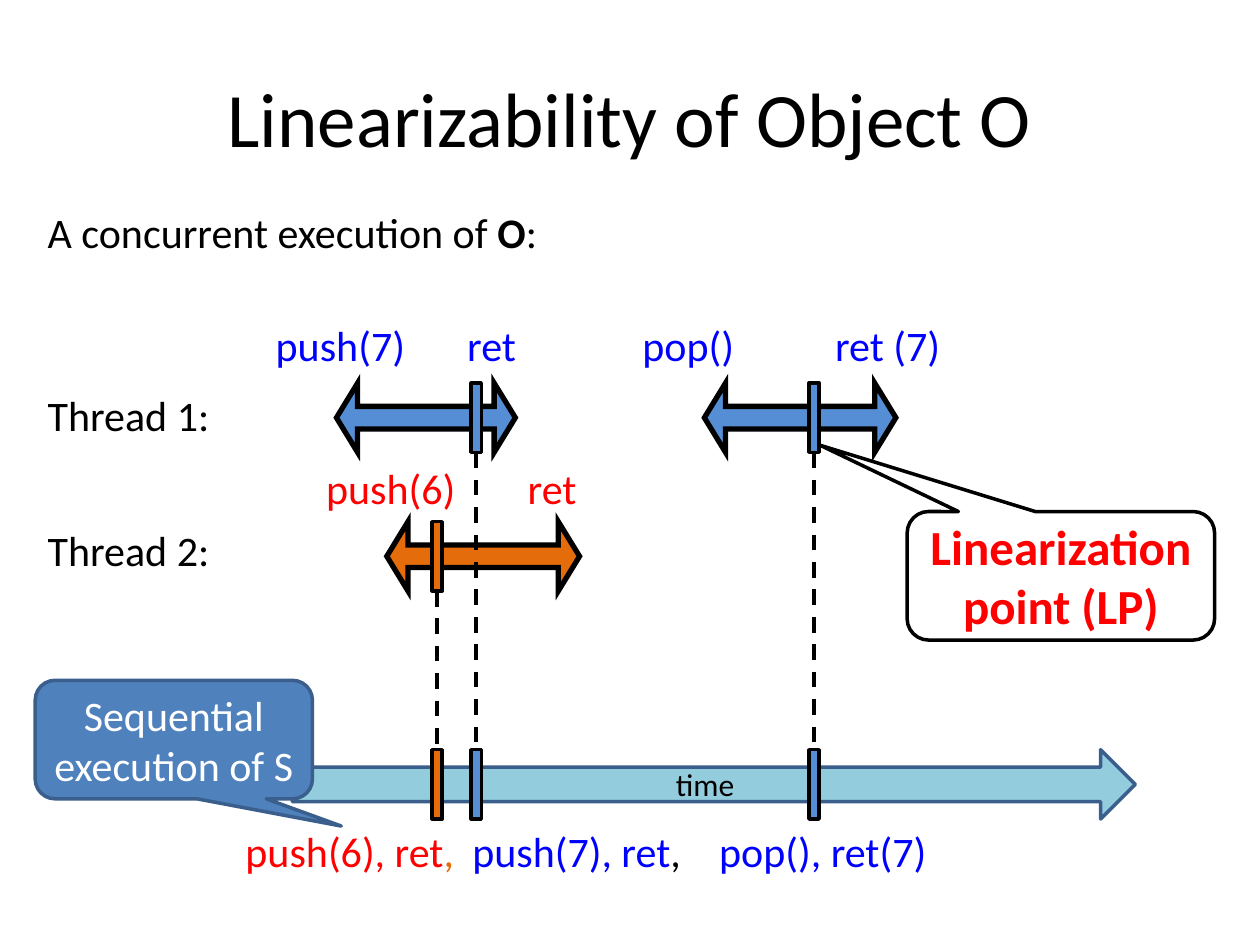
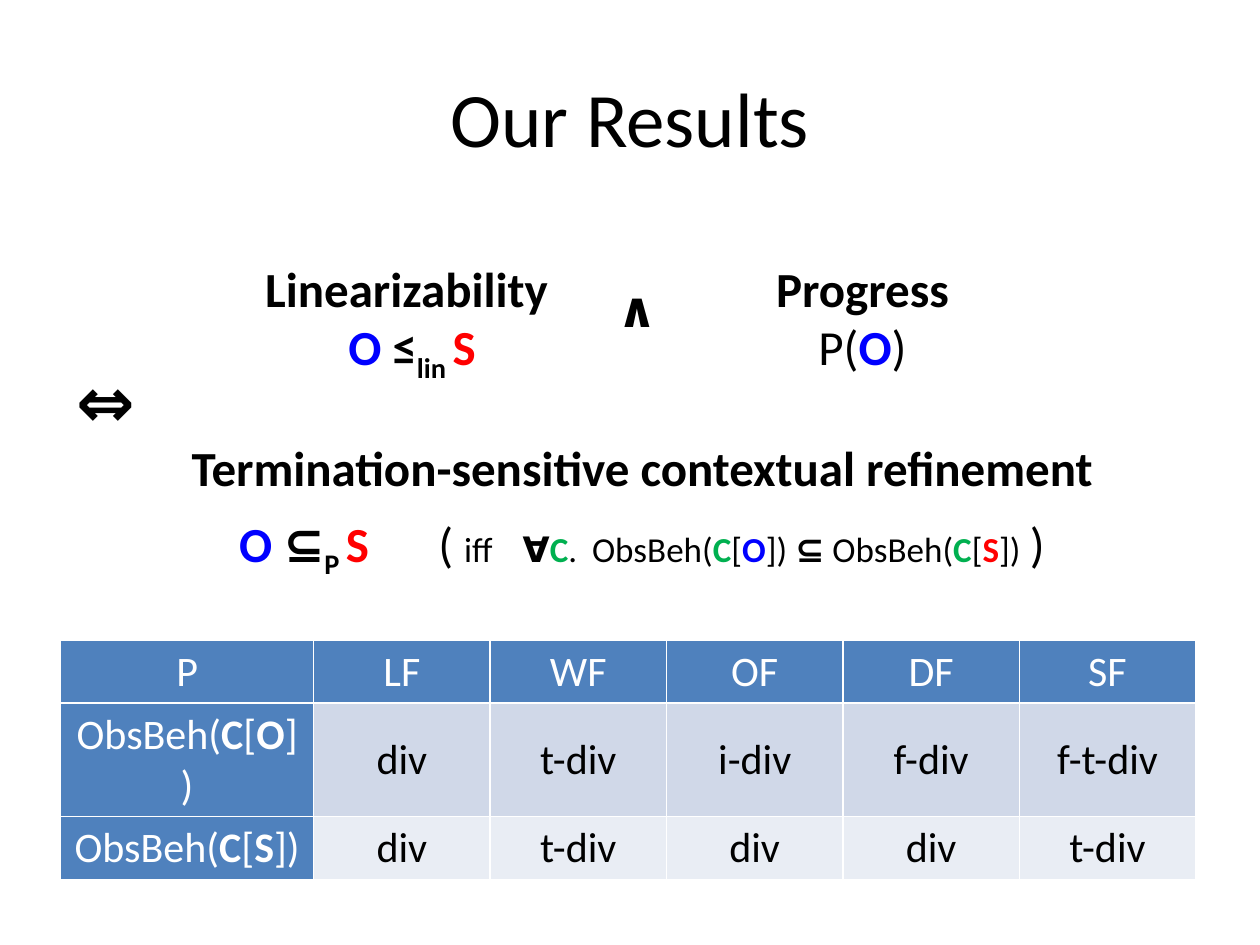
from lxml import etree
from pptx import Presentation
from pptx.dml.color import RGBColor
from pptx.enum.dml import MSO_LINE
from pptx.enum.shapes import MSO_CONNECTOR, MSO_SHAPE
from pptx.enum.text import MSO_ANCHOR, PP_ALIGN
from pptx.oxml.ns import qn
from pptx.util import Inches, Pt

LEFT, CENTER = PP_ALIGN.LEFT, PP_ALIGN.CENTER
MIDDLE = MSO_ANCHOR.MIDDLE
RECT = MSO_SHAPE.RECTANGLE
SPAN = MSO_SHAPE.LEFT_RIGHT_ARROW
ARROW = MSO_SHAPE.RIGHT_ARROW
CALLOUT = MSO_SHAPE.ROUNDED_RECTANGULAR_CALLOUT
STRAIGHT = MSO_CONNECTOR.STRAIGHT
DASH = MSO_LINE.DASH


class Theme:
    font = "Calibri"
    black, white = "000000", "FFFFFF"
    blue, red, green = "0000FF", "FF0000", "00B050"
    thread1, thread2 = "558ED5", "E46C0A"
    accent, accent_line, timeline = "4F81BD", "3A5F8C", "93CDDD"
    band1, band2 = "D0D8E8", "E9EDF4"
    title, symbol, large, body, small, caption = 44, 40, 28, 24, 20, 18


def write(tf, paragraphs, size=Theme.body, align=LEFT, space=0, tabs=()):
    tf.word_wrap = True
    for i, runs in enumerate(paragraphs):
        p = tf.add_paragraph() if i else tf.paragraphs[0]
        p.alignment = align
        if space and i == len(paragraphs) - 1:
            p.space_before = Pt(space)
            if tabs:
                p.alignment = LEFT
        if tabs and i == len(paragraphs) - 1:
            stops = etree.SubElement(p._p.get_or_add_pPr(), qn("a:tabLst"))
            for stop in tabs:
                etree.SubElement(stops, qn("a:tab"), pos=str(Inches(stop)), algn="l")
        for text, color, bold, *special in runs:
            r = p.add_run()
            r.text = text
            r.font.name = Theme.font
            r.font.size = Pt(size)
            r.font.bold = bold
            r.font.color.rgb = RGBColor.from_string(color)
            for value in special:
                if value < 0:
                    r.font._element.set("baseline", str(value * 1000))
                else:
                    r.font.size = Pt(value)


def add_shape(s, kind, box, fill, line, width=2, adjustments=()):
    sp = s.shapes.add_shape(kind, *map(Inches, box))
    sp.shadow.inherit = False
    sp.fill.solid()
    sp.fill.fore_color.rgb = RGBColor.from_string(fill)
    sp.line.color.rgb = RGBColor.from_string(line)
    sp.line.width = Pt(width)
    for i, value in enumerate(adjustments):
        sp.adjustments[i] = value
    sp.text_frame.vertical_anchor = MIDDLE
    return sp


T = Theme
prs = Presentation()
prs.slide_width, prs.slide_height = Inches(10), Inches(7.5)
slides = []
for title in ("Linearizability of Object O", "Our Results"):
    s = prs.slides.add_slide(prs.slide_layouts[5])
    sp = s.shapes.title
    sp.left, sp.top, sp.width, sp.height = map(Inches, (0.5, 0.3, 9, 1.25))
    sp.text_frame.vertical_anchor = MIDDLE
    write(sp.text_frame, [[(title, T.black, False)]], T.title, CENTER)
    slides.append(s)
execution, results = slides

bar_h = 0.55
thread1_y, thread2_y, time_y = 3.04, 4.14, 5.95

s = execution
sp = s.shapes.add_textbox(*map(Inches, (0.28, 1.59, 9.53, 0.5)))
write(sp.text_frame, [[("A concurrent execution of ", T.black, False),
                       ("O", T.black, True), (":", T.black, False)]])

for x, y, w, color in (
    (3.07, thread2_y, 1.53, T.thread2),
    (2.67, thread1_y, 1.42, T.thread1),
    (5.59, thread1_y, 1.52, T.thread1),
):
    sp = add_shape(s, SPAN, (x, y, w, bar_h), color, T.black, 3, (0.327, 0.306))
    etree.SubElement(sp.line._get_or_add_ln(), qn("a:miter"), lim="800000")

for x, y, label, color in (
    (0.28, 3.04, "Thread 1:", T.black),
    (0.28, 4.11, "Thread 2:", T.black),
    (2.09, 2.49, "push(7)", T.blue),
    (3.61, 2.49, "ret", T.blue),
    (5, 2.49, "pop()", T.blue),
    (6.53, 2.49, "ret (7)", T.blue),
    (2.49, 3.62, "push(6)", T.red),
    (4.09, 3.62, "ret", T.red),
):
    sp = s.shapes.add_textbox(*map(Inches, (x, y, 1.6, 0.5)))
    write(sp.text_frame, [[(label, color, False)]])

sp = add_shape(s, ARROW, (2.32, time_y, 6.69, bar_h), T.timeline, T.accent_line)
write(sp.text_frame, [[("time", T.black, False)]], T.caption, CENTER)

tick_w = 0.08
for x, y, color in (
    (3.78, thread1_y, T.thread1),
    (6.46, thread1_y, T.thread1),
    (3.47, thread2_y, T.thread2),
):
    for top in (y, time_y):
        add_shape(s, RECT, (x - tick_w / 2, top, tick_w, bar_h), color, T.black)
    c = s.shapes.add_connector(STRAIGHT, *map(Inches, (x, y + bar_h, x, time_y)))
    c.line.color.rgb = RGBColor.from_string(T.black)
    c.line.width = Pt(2.25)
    c.line.dash_style = DASH
    etree.SubElement(c._element.spPr, qn("a:effectLst"))

sp = s.shapes.add_textbox(*map(Inches, (1.85, 6.5, 6.14, 0.5)))
write(sp.text_frame, [[
    ("push(6), ret", T.red, False), (",\t", T.thread2, False),
    ("push(7), ret", T.blue, False), (",\t", T.black, False),
    ("pop(), ret(7)", T.blue, False),
]], tabs=(1.8, 3.76))

for box, fill, line, adjustments, text, color, bold, size in (
    ((0.28, 5.4, 2.2, 0.94), T.accent, T.accent_line, (0.604, 0.73, 0.167),
     "Sequential execution of S", T.white, False, T.body),
    ((7.2, 4.06, 2.44, 1.02), T.white, T.black, (-0.783, -1.016, 0.167),
     "Linearization point (LP)", T.red, True, T.large),
):
    sp = add_shape(s, CALLOUT, box, fill, line, 2, adjustments)
    write(sp.text_frame, [[(text, color, bold)]], size, CENTER)

s = results
refinement = [
    ("\tO ", T.blue, True), ("⊆", T.black, True), ("P ", T.black, True, -25),
    ("S\t", T.red, True), ("( ", T.black, False),
    ("iff\t", T.black, False, T.small), ("∀", T.black, True, T.small),
    ("C", T.green, True, T.small), (".\tObsBeh(", T.black, False, T.small),
    ("C", T.green, True, T.small), ("[", T.black, False, T.small),
    ("O", T.blue, True, T.small), ("]) ", T.black, False, T.small),
    ("⊆ ", T.black, True, T.small), ("ObsBeh(", T.black, False, T.small),
    ("C", T.green, True, T.small), ("[", T.black, False, T.small),
    ("S", T.red, True, T.small), ("])", T.black, False, T.small),
    (" ", T.black, False, T.body), (")", T.black, False),
]
linearizable = [("O ", T.blue, True), ("≤", T.black, True),
                ("lin ", T.black, True, -25), ("S", T.red, True)]
progress = [("P(", T.black, False), ("O", T.blue, True), (")", T.black, False)]

for box, paragraphs, size, align, space, tabs in (
    ((1.34, 3.42, 7.51, 1.18),
     [[("Termination-sensitive contextual refinement", T.black, True)], refinement],
     T.large, CENTER, 10, (0.46, 2.04, 2.71, 3.26)),
    ((1.93, 2, 2.68, 1.04), [[("Linearizability ", T.black, True)], linearizable],
     T.large, CENTER, 0, ()),
    ((4.8, 2.16, 0.6, 0.57), [[("∧", T.black, True)]], T.large, LEFT, 0, ()),
    ((5.95, 2, 1.79, 1.04), [[("Progress", T.black, True)], progress],
     T.large, CENTER, 0, ()),
    ((0.51, 2.79, 0.91, 0.77), [[("⇔", T.black, True)]], T.symbol, LEFT, 10, ()),
):
    sp = s.shapes.add_textbox(*map(Inches, box))
    write(sp.text_frame, paragraphs, size, align, space, tabs)

rows = (
    (["P"], "LF", "WF", "OF", "DF", "SF"),
    (["ObsBeh(", "C", "[", "O", "])"], "div", "t-div", "i-div", "f-div", "f-t-div"),
    (["ObsBeh(", "C", "[", "S", "]) "], "div", "t-div", "div", "div", "t-div"),
)
table = s.shapes.add_table(3, 6, *map(Inches, (0.48, 5.08, 9.01, 1.23))).table
for j, column in enumerate(table.columns):
    column.width = Inches(1.4 if j else 2.01)
for i, row in enumerate(rows):
    table.rows[i].height = Inches(0.41)
    for j, parts in enumerate(row):
        cell = table.cell(i, j)
        heading = i == 0 or j == 0
        fill = T.accent if heading else (T.band1, T.band2)[i - 1]
        color = T.white if heading else T.black
        cell.fill.solid()
        cell.fill.fore_color.rgb = RGBColor.from_string(fill)
        cell.vertical_anchor = MIDDLE
        parts = parts if j == 0 else [parts]
        write(cell.text_frame, [[(part, color, k % 2 == 1) for k, part in enumerate(parts)]],
              T.body, CENTER)

prs.save("out.pptx")
